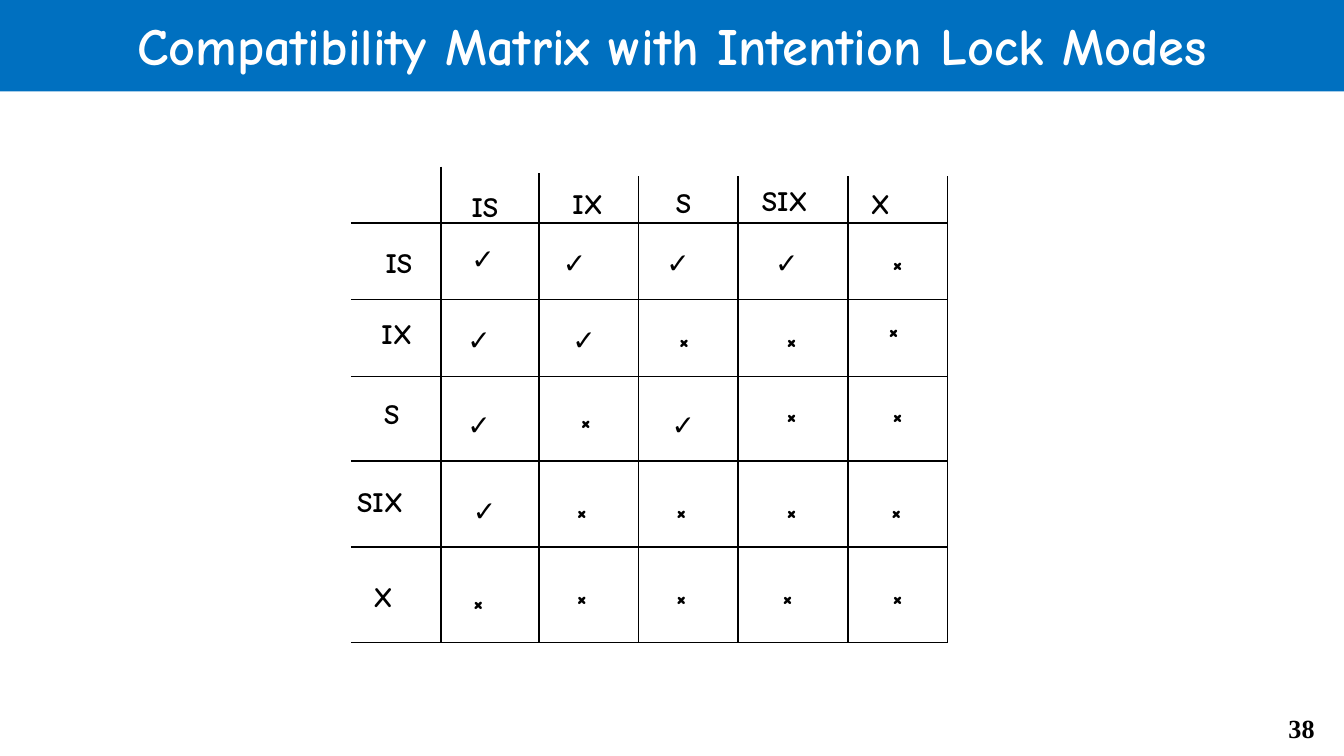
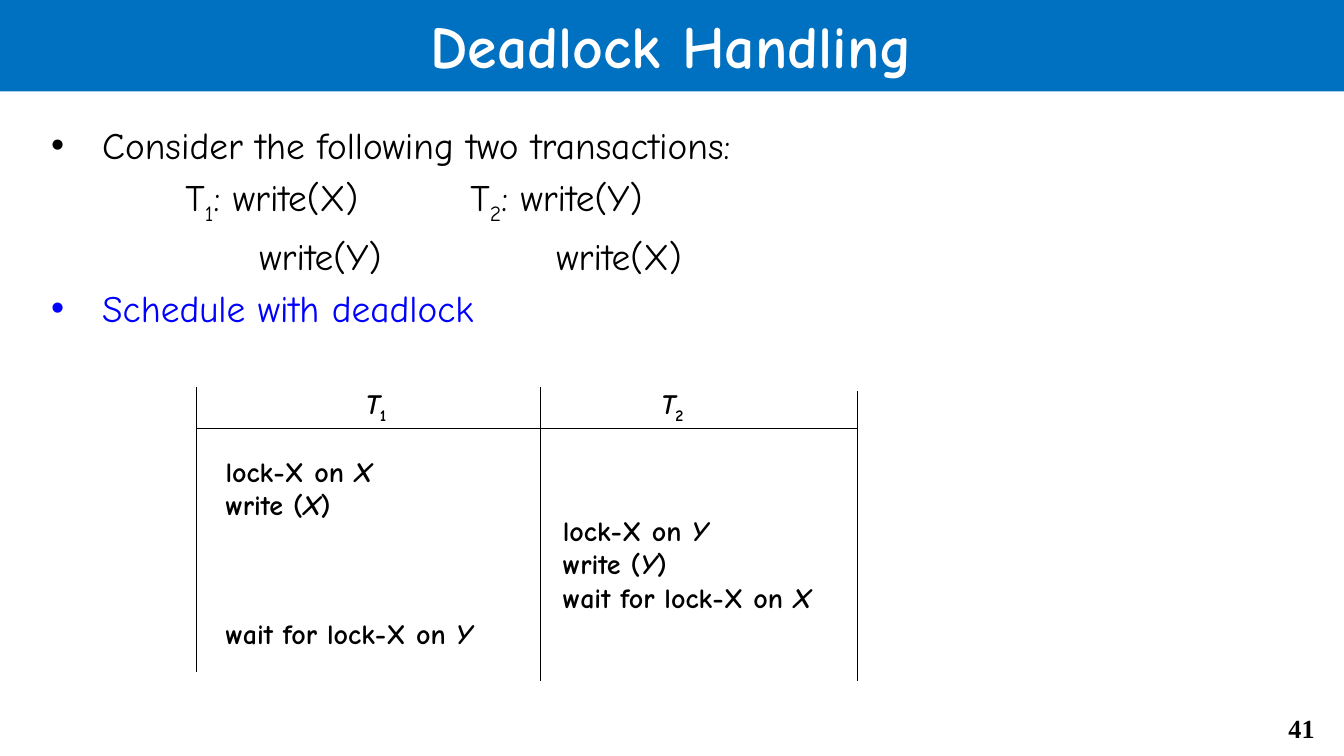
import pptx
import pptx.dml.color
import pptx.enum.shapes
import pptx.enum.text
import pptx.oxml.ns
import pptx.util
from lxml import etree

BLACK, WHITE, BLUE, BAND = "000000", "FFFFFF", "0000FF", "0070C0"
COMIC, SERIF = "Comic Neue", "Times New Roman"
LABEL = {"name": COMIC, "size": 15, "bold": True, "color": BLACK}
BODY = {"name": COMIC, "size": 20, "color": BLACK}
NUMBER = {"name": SERIF, "size": 14, "bold": True, "color": BLACK}
SUB = {"baseline": -25000}
ITALIC = {"italic": True}

MODES = ["IS", "IX", "S", "SIX", "X"]
COMPATIBLE = ["✓✓✓✓×", "✓✓×××", "✓×✓××", "✓××××", "×××××"]
MODE_WIDTH = {"IS": 0.55, "IX": 0.56, "S": 0.41, "SIX": 0.73, "X": 0.53}
MARK_WIDTH = {"✓": 0.43, "×": 0.38}

COLUMN_LINES = [3.28, 4.01, 4.75, 5.49, 6.31, 7.05]
COLUMN_TOPS = [1.24, 1.29, 1.31, 1.31, 1.31, 1.31]
ROW_LINES = [1.66, 2.23, 2.8, 3.43, 4.07, 4.78]
MATRIX_LEFT = 2.61
HEADER_AT = [(3.41, 1.36), (4.16, 1.34), (4.93, 1.33), (5.57, 1.32), (6.38, 1.34)]
LABEL_AT = [(2.77, 1.78), (2.74, 2.31), (2.76, 2.9), (2.56, 3.56), (2.68, 4.26)]
MARK_AT = [
    [(3.41, 1.75), (4.09, 1.78), (4.86, 1.78), (5.67, 1.78), (6.54, 1.78)],
    [(3.38, 2.35), (4.16, 2.35), (4.95, 2.35), (5.75, 2.35), (6.51, 2.28)],
    [(3.38, 2.98), (4.22, 2.95), (4.9, 2.98), (5.75, 2.91), (6.54, 2.91)],
    [(3.42, 3.62), (4.19, 3.62), (4.93, 3.62), (5.75, 3.62), (6.53, 3.62)],
    [(3.42, 4.3), (4.19, 4.26), (4.93, 4.26), (5.72, 4.26), (6.54, 4.26)],
]

# Body paragraphs: spans, (first indent, tab stop) or None for a bullet, colour
DEADLOCK_BODY = [
    ([("Consider the following two transactions:", {})], None, BLACK),
    ([("T", {}), ("1", SUB), (": write(X)\tT", {}), ("2", SUB), (": write(Y)", {})],
     (1.0, 3.12), BLACK),
    ([("write(Y)\twrite(X)", {})], (1.55, 3.76), BLACK),
    ([("Schedule with deadlock", {})], None, BLUE),
]


def lock(item):
    return [("lock-X on ", {}), (item, ITALIC)]


def write(item):
    return [("write (", {}), (item, ITALIC), (")", {})]


def wait(item):
    return [("wait for lock-X on ", {}), (item, ITALIC)]


def transaction(number):
    return [("T", ITALIC), (number, SUB)]


SCHEDULE_LINES = [
    (1.46, 3.19, 6.38, 3.19), (1.46, 2.88, 1.46, 5),
    (4.02, 2.88, 4.02, 5.07), (6.38, 2.91, 6.38, 5.07),
]
SCHEDULE_TEXTS = [
    ((2.62, 2.83, 0.43, 0.35), [transaction("1")]),
    ((4.82, 2.83, 0.43, 0.35), [transaction("2")]),
    ((1.58, 3.33, 1.43, 0.61), [lock("X"), write("X")]),
    ((4.09, 3.77, 2.35, 0.86), [lock("Y"), write("Y"), wait("X")]),
    ((1.58, 4.54, 2.33, 0.35), [wait("Y")]),
]


def rgb(value):
    return pptx.dml.color.RGBColor.from_string(value)


def inches(values):
    return [pptx.util.Inches(v) for v in values]


def add_runs(p, spans, style):
    """Add (text, extra format) spans on top of a base style."""
    for text, extra in spans:
        r = p.add_run()
        r.text = text
        for key, value in {**style, **extra}.items():
            if key == "color":
                r.font.color.rgb = rgb(value)
            elif key == "baseline":
                r._r.get_or_add_rPr().set(key, str(value))
            else:
                setattr(r.font, key, pptx.util.Pt(value) if key == "size" else value)


def add_text(slide, box, paragraphs, style=LABEL, wrap=False, align=None):
    tf = slide.shapes.add_textbox(*inches(box)).text_frame
    tf.word_wrap = wrap
    tf.auto_size = pptx.enum.text.MSO_AUTO_SIZE.SHAPE_TO_FIT_TEXT
    for i, spans in enumerate(paragraphs):
        p = tf.add_paragraph() if i else tf.paragraphs[0]
        p.alignment = align
        add_runs(p, spans, style)


def add_line(slide, *ends):
    line = slide.shapes.add_connector(
        pptx.enum.shapes.MSO_CONNECTOR.STRAIGHT, *inches(ends))
    line.line.color.rgb = rgb(BLACK)
    line.line.width = pptx.util.Pt(0.75)
    etree.SubElement(line._element.spPr, pptx.oxml.ns.qn("a:effectLst"))


def place(sp, box):
    sp.left, sp.top, sp.width, sp.height = inches(box)


def add_slide(prs, layout, title, size, number):
    """Add a slide with the shared title band and slide number."""
    slide = prs.slides.add_slide(prs.slide_layouts[layout])
    sp = slide.shapes.title
    place(sp, (0, -0.02, 10, 0.7))
    sp.fill.solid()
    sp.fill.fore_color.rgb = rgb(BAND)
    tf = sp.text_frame
    tf.vertical_anchor = pptx.enum.text.MSO_ANCHOR.MIDDLE
    tf.auto_size = pptx.enum.text.MSO_AUTO_SIZE.NONE
    tf.paragraphs[0].alignment = pptx.enum.text.PP_ALIGN.CENTER
    add_runs(tf.paragraphs[0], [(title, {})], {**LABEL, "size": size, "color": WHITE})
    add_text(slide, (9.25, 5.25, 0.63, 0.34), [[(number, {})]], NUMBER,
             wrap=True, align=pptx.enum.text.PP_ALIGN.RIGHT)
    return slide


def add_matrix(slide):
    for x, top in zip(COLUMN_LINES, COLUMN_TOPS):
        add_line(slide, x, top, x, ROW_LINES[-1])
    for y in ROW_LINES:
        add_line(slide, MATRIX_LEFT, y, COLUMN_LINES[-1], y)
    for places in (HEADER_AT, LABEL_AT):
        for mode, at in zip(MODES, places):
            add_text(slide, (*at, MODE_WIDTH[mode], 0.4), [[(mode, {})]])
    for marks, places in zip(COMPATIBLE, MARK_AT):
        for mark, at in zip(marks, places):
            add_text(slide, (*at, MARK_WIDTH[mark], 0.4), [[(mark, {})]])


def format_paragraph(p, stops):
    """Hang a bulleted paragraph, or indent and tab a plain one."""
    qn = pptx.oxml.ns.qn
    p.space_before = pptx.util.Pt(4)
    pPr = p._p.get_or_add_pPr()
    if stops:
        indent, stop = inches(stops)
        formats = {"marL": 0, "indent": indent, "defTabSz": stop}
        etree.SubElement(pPr, qn("a:buNone"))
        tabs = etree.SubElement(pPr, qn("a:tabLst"))
        etree.SubElement(tabs, qn("a:tab"), pos=str(stop), algn="l")
    else:
        hang = pptx.util.Inches(0.38)
        formats = {"marL": hang, "indent": -hang}
        etree.SubElement(pPr, qn("a:buChar"), char="•")
    for key, value in formats.items():
        pPr.set(key, str(value))


def add_body(slide):
    sp = slide.placeholders[1]
    place(sp, (0.28, 0.86, 9.37, 4.16))
    tf = sp.text_frame
    tf.auto_size = pptx.enum.text.MSO_AUTO_SIZE.NONE
    for i, (spans, stops, color) in enumerate(DEADLOCK_BODY):
        p = tf.add_paragraph() if i else tf.paragraphs[0]
        format_paragraph(p, stops)
        add_runs(p, spans, {**BODY, "color": color})


def main():
    prs = pptx.Presentation()
    prs.slide_width = pptx.util.Inches(10)
    prs.slide_height = prs.slide_width * 9 // 16

    slide = add_slide(prs, 5, "Compatibility Matrix with Intention Lock Modes", 28, "38")
    add_matrix(slide)

    slide = add_slide(prs, 1, "Deadlock Handling", 32, "41")
    add_body(slide)
    for ends in SCHEDULE_LINES:
        add_line(slide, *ends)
    for box, paragraphs in SCHEDULE_TEXTS:
        add_text(slide, box, paragraphs)

    prs.save("out.pptx")


if __name__ == "__main__":
    main()
